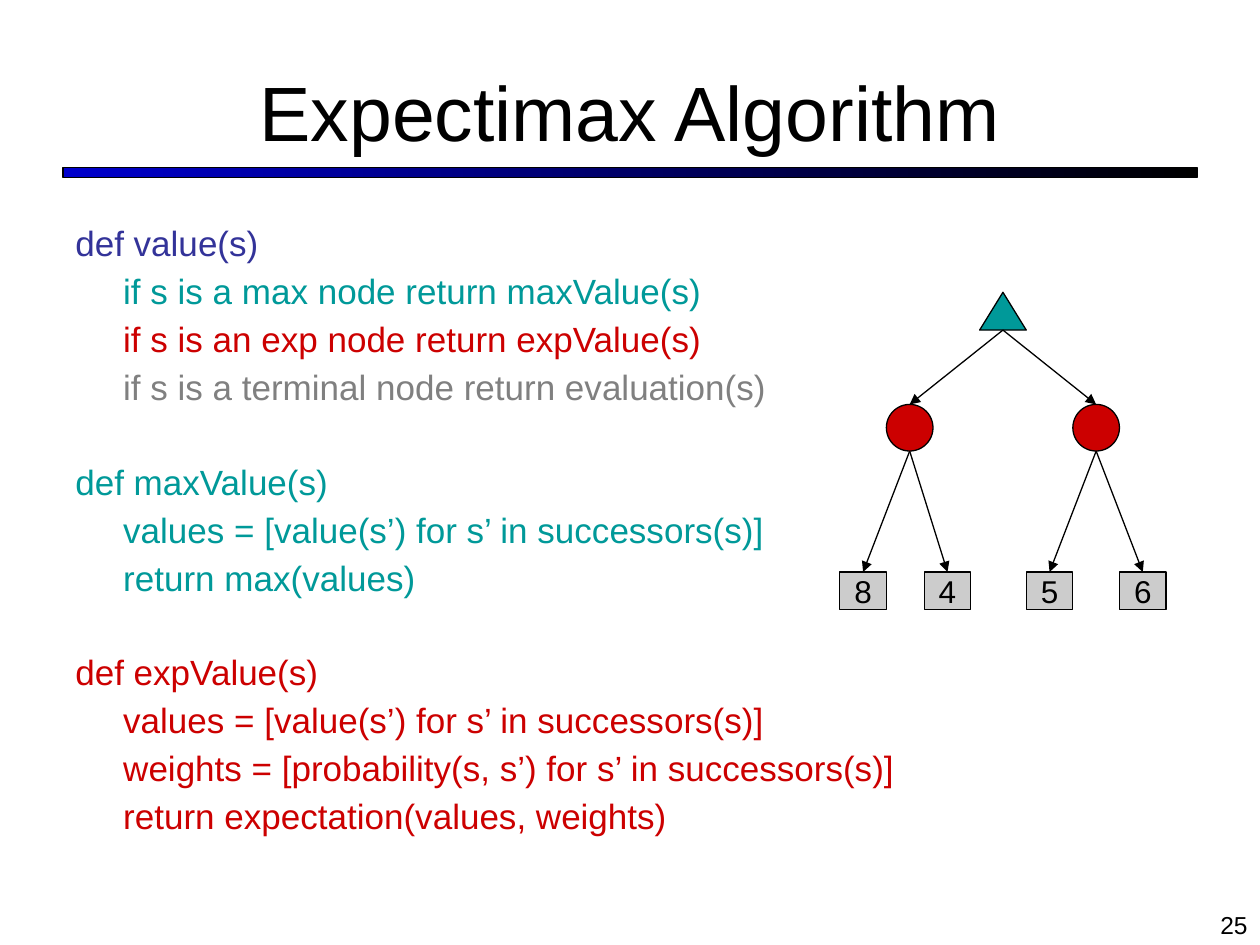
"""Build the Expectimax Algorithm slide."""
from lxml import etree
from pptx import Presentation
from pptx import util as u
from pptx.dml.color import RGBColor
from pptx.enum import shapes, text
from pptx.oxml import ns

COLORS = {
    "black": "000000", "blue": "0000CC", "indigo": "333399", "teal": "009999",
    "red": "CC0000", "gray": "808080", "silver": "CCCCCC",
}
NODE_SIZE = 0.37
NODE_HEIGHT = 0.3
ROOT_CENTER, ROOT_TOP = 7.96, 2.32
CHANCE_TOP, LEAF_TOP = 3.21, 4.54
CHANCE_NODES = [
    (7.22, [(6.85, "8"), (7.52, "4")]),
    (8.7, [(8.33, "5"), (9.07, "6")]),
]
FUNCTIONS = [
    [("def value(s)", "indigo"),
     ("if s is a max node return maxValue(s)", "teal"),
     ("if s is an exp node return expValue(s)", "red"),
     ("if s is a terminal node return evaluation(s)", "gray")],
    [("def maxValue(s)", "teal"),
     ("values = [value(s’) for s’ in successors(s)]", "teal"),
     ("return max(values)", "teal")],
    [("def expValue(s)", "red"),
     ("values = [value(s’) for s’ in successors(s)]", "red"),
     ("weights = [probability(s, s’) for s’ in successors(s)]", "red"),
     ("return expectation(values, weights)", "red")],
]
LINE_GAP = 5.8
FUNCTION_GAP = 32.3


def rgb(name):
    return RGBColor.from_string(COLORS[name])


def write(paragraph, content, size, color="black", align=text.PP_ALIGN.LEFT,
          before=0, spacing=1.0, indent=0):
    paragraph.text = content
    paragraph.alignment = align
    paragraph.space_before = u.Pt(before)
    paragraph.line_spacing = spacing
    if indent:
        paragraph._p.get_or_add_pPr().set("marL", str(u.Inches(indent)))
    paragraph.font.name = "Arial"
    paragraph.font.size = u.Pt(size)
    paragraph.font.color.rgb = rgb(color)


def add_text_box(slide, left, top, width, height):
    box = slide.shapes.add_textbox(*map(u.Inches, (left, top, width, height)))
    box.text_frame.word_wrap = True
    return box.text_frame


def add_box(slide, kind, left, top, width, height, fill=None):
    shape = slide.shapes.add_shape(
        kind, *map(u.Inches, (left, top, width, height)))
    shape.shadow.inherit = False
    shape.line.color.rgb = rgb("black")
    shape.line.width = u.Pt(0.75)
    if fill:
        shape.fill.solid()
        shape.fill.fore_color.rgb = rgb(fill)
    return shape


def add_node(slide, kind, center, top, height, fill, label=None):
    shape = add_box(slide, kind, center - NODE_SIZE / 2, top, NODE_SIZE,
                    height, fill)
    if label:
        frame = shape.text_frame
        frame.word_wrap = False
        frame.vertical_anchor = text.MSO_ANCHOR.MIDDLE
        write(frame.paragraphs[0], label, 18, align=text.PP_ALIGN.CENTER)


def add_arrow(slide, start, end):
    arrow = slide.shapes.add_connector(
        shapes.MSO_CONNECTOR.STRAIGHT, *map(u.Inches, start + end))
    arrow.line.color.rgb = rgb("black")
    arrow.line.width = u.Pt(0.75)
    tail = etree.SubElement(arrow.line._get_or_add_ln(), ns.qn("a:tailEnd"))
    tail.set("type", "triangle")
    etree.SubElement(arrow._element.spPr, ns.qn("a:effectLst"))


def add_title(slide, content):
    bar = add_box(slide, shapes.MSO_SHAPE.RECTANGLE, 0.5, 1.33, 9, 0.08)
    bar.fill.gradient()
    bar.fill.gradient_angle = 0
    for stop, color in zip(bar.fill.gradient_stops, ("blue", "black")):
        stop.color.rgb = rgb(color)
    title = slide.shapes.title
    title.left, title.top = u.Inches(0.5), u.Inches(0.25)
    title.width, title.height = u.Inches(9), u.Inches(1.25)
    title.text_frame.vertical_anchor = text.MSO_ANCHOR.MIDDLE
    write(title.text_frame.paragraphs[0], content, 44,
          align=text.PP_ALIGN.CENTER)


def add_code(slide):
    frame = add_text_box(slide, 0.5, 1.75, 9, 4.95)
    paragraph = frame.paragraphs[0]
    before = 0
    for function in FUNCTIONS:
        for index, (line, color) in enumerate(function):
            write(paragraph, line, 20, color=color, before=before,
                  spacing=0.9, indent=0.38 if index else 0)
            before = LINE_GAP
            if (function, index) != (FUNCTIONS[-1], len(function) - 1):
                paragraph = frame.add_paragraph()
        before = FUNCTION_GAP


def add_tree(slide):
    add_node(slide, shapes.MSO_SHAPE.ISOSCELES_TRIANGLE, ROOT_CENTER,
             ROOT_TOP, NODE_HEIGHT, "teal")
    for center, leaves in CHANCE_NODES:
        add_arrow(slide, (ROOT_CENTER, ROOT_TOP + NODE_HEIGHT),
                  (center, CHANCE_TOP))
        for leaf_center, label in leaves:
            add_node(slide, shapes.MSO_SHAPE.RECTANGLE, leaf_center, LEAF_TOP,
                     NODE_HEIGHT, "silver", label)
            add_arrow(slide, (center, CHANCE_TOP + NODE_SIZE),
                      (leaf_center, LEAF_TOP))
        add_node(slide, shapes.MSO_SHAPE.OVAL, center, CHANCE_TOP, NODE_SIZE,
                 "red")


def main():
    presentation = Presentation()
    presentation.slide_width = u.Inches(10)
    presentation.slide_height = u.Inches(7.5)
    slide = presentation.slides.add_slide(presentation.slide_layouts[5])
    add_title(slide, "Expectimax Algorithm")
    add_code(slide)
    add_tree(slide)
    number = add_text_box(slide, 7.67, 7.17, 2.33, 0.33)
    write(number.paragraphs[0], "25", 14, align=text.PP_ALIGN.RIGHT)
    presentation.save("out.pptx")


if __name__ == "__main__":
    main()
